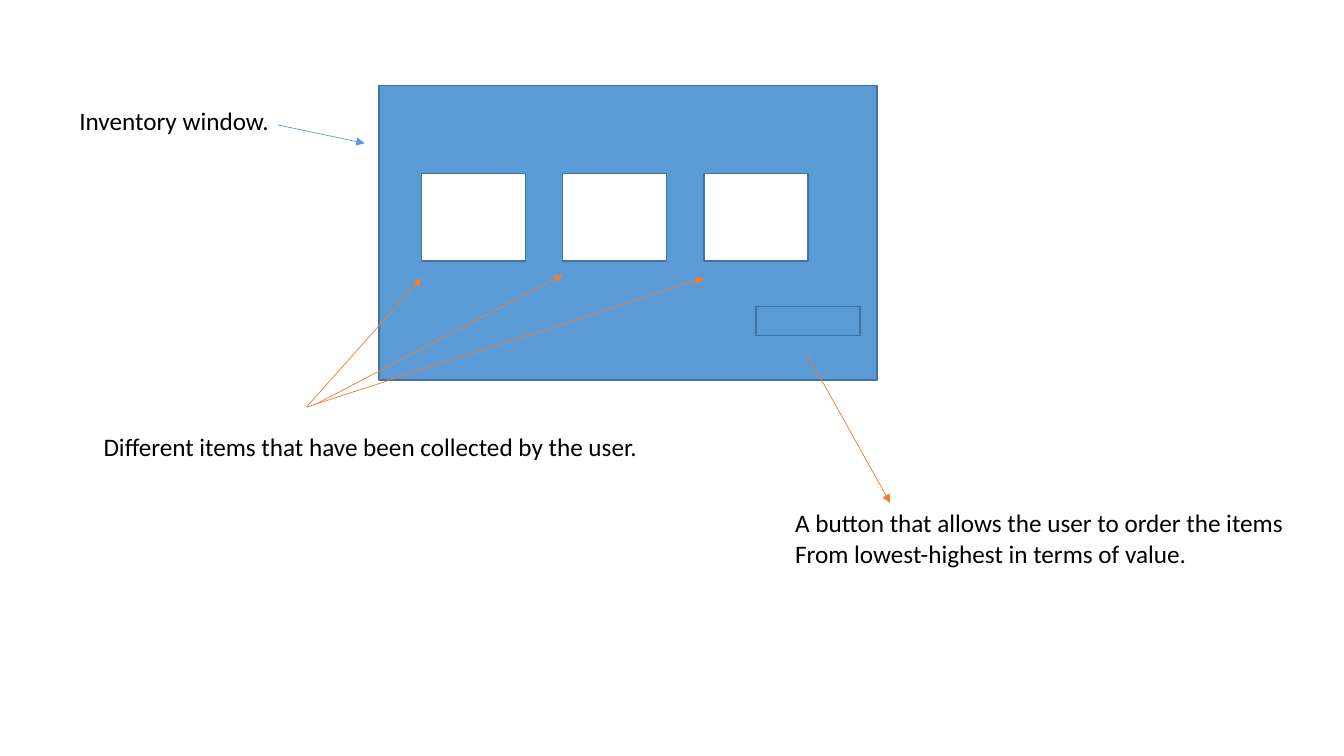
"""Build the annotated inventory window slide."""
from dataclasses import dataclass

from lxml.etree import SubElement
from pptx import Presentation
from pptx.dml.color import RGBColor
from pptx.enum.shapes import MSO_CONNECTOR, MSO_SHAPE
from pptx.enum.text import MSO_AUTO_SIZE
from pptx.oxml.ns import qn
from pptx.util import Cm, Pt


@dataclass(frozen=True)
class Theme:
    blue: str = "5B9BD5"
    border: str = "43739E"
    orange: str = "ED7D31"
    white: str = "FFFFFF"
    black: str = "000000"
    font: str = "Calibri"
    body: float = 18
    outline: float = 1
    arrow: float = 0.5


class Sketch:
    def __init__(self, slide, theme):
        self.slide, self.theme = slide, theme

    def box(self, left, top, width, height, fill):
        s = self.slide.shapes.add_shape(
            MSO_SHAPE.RECTANGLE, Cm(left), Cm(top), Cm(width), Cm(height))
        s.shadow.inherit = False
        s.fill.solid()
        s.fill.fore_color.rgb = RGBColor.from_string(fill)
        s.line.color.rgb = RGBColor.from_string(self.theme.border)
        s.line.width = Pt(self.theme.outline)

    def arrow(self, start, end, color):
        s = self.slide.shapes.add_connector(
            MSO_CONNECTOR.STRAIGHT, *(Cm(v) for v in (*start, *end)))
        s.line.color.rgb = RGBColor.from_string(color)
        s.line.width = Pt(self.theme.arrow)
        SubElement(s.line._get_or_add_ln(), qn("a:tailEnd"), type="triangle")
        SubElement(s._element.spPr, qn("a:effectLst"))

    def label(self, left, top, width, height, *lines):
        s = self.slide.shapes.add_textbox(Cm(left), Cm(top), Cm(width), Cm(height))
        tf = s.text_frame
        tf.text = "\n".join(lines)
        frame_format = {"word_wrap": False, "auto_size": MSO_AUTO_SIZE.SHAPE_TO_FIT_TEXT}
        for name, value in frame_format.items():
            setattr(tf, name, value)
        font_format = {"name": self.theme.font, "size": Pt(self.theme.body)}
        for p in tf.paragraphs:
            for r in p.runs:
                for name, value in font_format.items():
                    setattr(r.font, name, value)
                r.font.color.rgb = RGBColor.from_string(self.theme.black)


prs = Presentation()
prs.slide_width, prs.slide_height = Cm(33.87), Cm(19.05)
theme = Theme()
sketch = Sketch(prs.slides.add_slide(prs.slide_layouts[6]), theme)

slot_lefts = [10.62 + 3.56 * i for i in range(3)]
slot_width = 2.62

sketch.box(9.55, 2.16, 12.55, 7.42, theme.blue)
for left in slot_lefts:
    sketch.box(left, 4.37, slot_width, 2.21, theme.white)
sketch.box(19.05, 7.72, slot_width, 0.74, theme.blue)

sketch.arrow((7.01, 3.15), (9.19, 3.61), theme.blue)
sketch.label(1.75, 2.54, 5.33, 1.02, "Inventory window.")

item_arrows = [((7.72, 10.26), 7.01), ((7.95, 10.19), 6.93), ((7.72, 10.26), 7.01)]
for left, (start, tip) in zip(slot_lefts, item_arrows):
    sketch.arrow(start, (left, tip), theme.orange)
sketch.label(2.36, 10.74, 14.05, 1.02,
             "Different items that have been collected by the user.")

sketch.arrow((20.35, 8.94), (22.43, 12.67), theme.orange)
sketch.label(19.79, 12.67, 12.98, 1.8,
             "A button that allows the user to order the items",
             "From lowest-highest in terms of value.")

prs.save("out.pptx")
